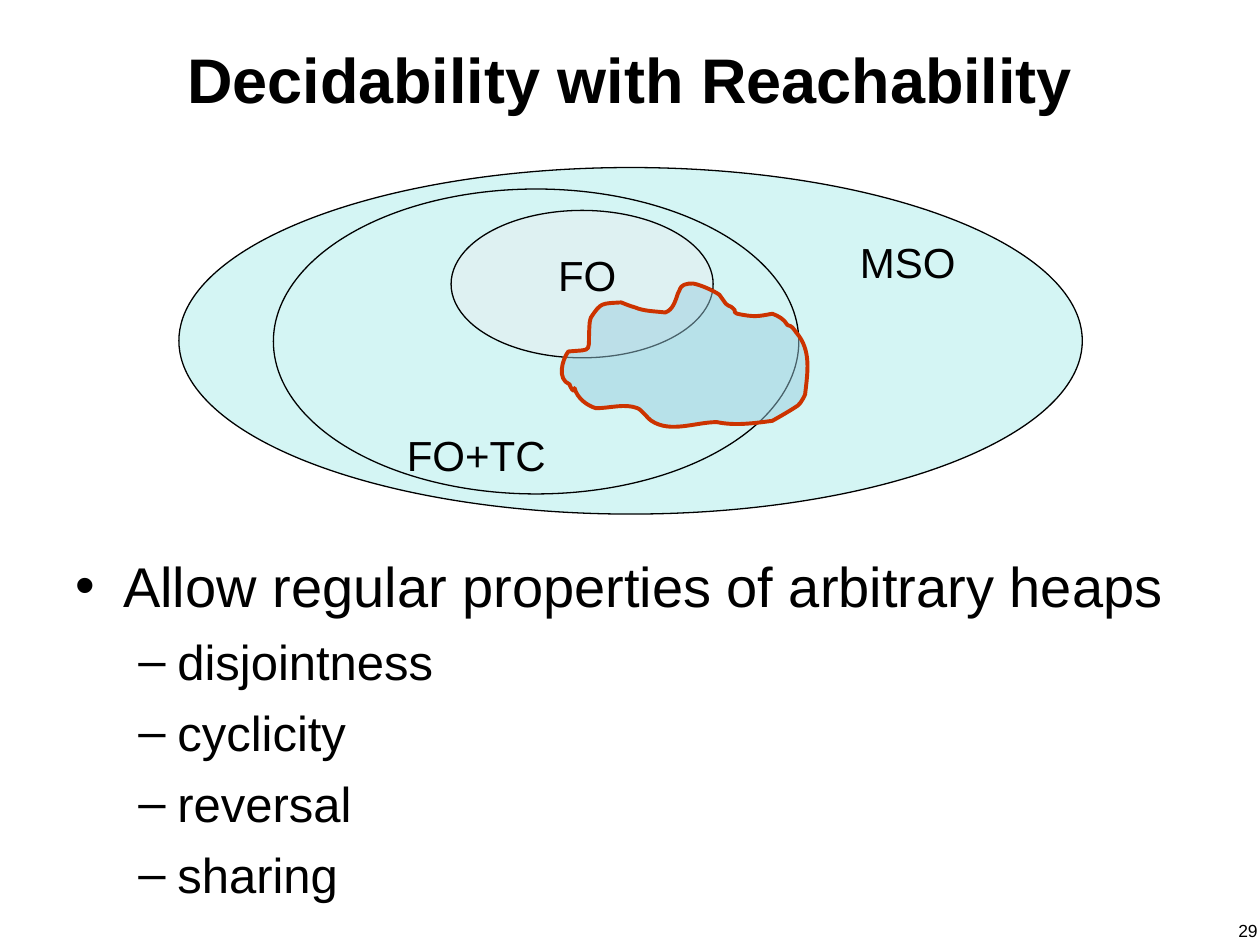
from dataclasses import dataclass

from lxml.etree import SubElement
from pptx import Presentation
from pptx.dml.color import RGBColor
from pptx.enum.shapes import MSO_SHAPE
from pptx.enum.text import MSO_ANCHOR, PP_ALIGN
from pptx.oxml.ns import qn
from pptx.util import Inches, Pt


@dataclass(frozen=True)
class Theme:
    font: str = "Arial"
    ink: str = "000000"
    set_fill: str = "D4F5F4"
    inner_fill: str = "DEF1F2"
    region_fill: str = "99CDDF"
    region_line: str = "CC3300"
    region_opacity: int = 48
    thin: float = 0.75
    thick: float = 2.25
    title_size: int = 36
    body_size: int = 32
    item_size: int = 28
    label_size: int = 24
    number_size: int = 10
    paragraph_gap: int = 7


class SlideBuilder:
    def __init__(self, slide, theme):
        self.slide = slide
        self.theme = theme

    def style_font(self, paragraph, size, bold=False):
        for run in paragraph.runs:
            run.font.name = self.theme.font
            run.font.size = Pt(size)
            run.font.bold = bold
            run.font.color.rgb = RGBColor.from_string(self.theme.ink)

    def style_shape(self, shape, fill, line, width):
        shape.shadow.inherit = False
        shape.fill.solid()
        shape.fill.fore_color.rgb = RGBColor.from_string(fill)
        shape.line.color.rgb = RGBColor.from_string(line)
        shape.line.width = Pt(width)

    def text_box(self, box):
        shape = self.slide.shapes.add_textbox(*map(Inches, box))
        shape.text_frame.word_wrap = True
        return shape.text_frame

    def text(self, text, box, size, align=PP_ALIGN.CENTER, anchor=MSO_ANCHOR.TOP, bold=False):
        text_frame = self.text_box(box)
        text_frame.text = text
        text_frame.vertical_anchor = anchor
        paragraph = text_frame.paragraphs[0]
        paragraph.alignment = align
        self.style_font(paragraph, size, bold)

    def ellipse(self, box, fill):
        shape = self.slide.shapes.add_shape(MSO_SHAPE.OVAL, *map(Inches, box))
        self.style_shape(shape, fill, self.theme.ink, self.theme.thin)

    def curved_region(self, start, curves):
        points = [tuple(map(Inches, point)) for curve in curves for point in curve]
        builder = self.slide.shapes.build_freeform(*map(Inches, start))
        builder.add_line_segments(points, close=True)
        shape = builder.convert_to_shape()
        path = next(shape.element.iter(qn("a:path")))
        segments = path.findall(qn("a:lnTo"))
        for index in range(0, len(segments), 3):
            curve = SubElement(path, qn("a:cubicBezTo"))
            segments[index].addprevious(curve)
            for segment in segments[index:index + 3]:
                curve.append(segment[0])
                path.remove(segment)
        theme = self.theme
        self.style_shape(shape, theme.region_fill, theme.region_line, theme.thick)
        color = shape.element.spPr.find(qn("a:solidFill"))[0]
        SubElement(color, qn("a:alpha"), val=str(theme.region_opacity * 1000))

    def bullets(self, entries, box):
        theme = self.theme
        levels = [
            ("•", theme.body_size, 0.38, 0.38),
            ("–", theme.item_size, 0.81, 0.31),
        ]
        text_frame = self.text_box(box)
        text_frame.text = "\n".join(text for text, level in entries)
        for index, paragraph in enumerate(text_frame.paragraphs):
            level = entries[index][1]
            mark, size, margin, hanging = levels[level]
            paragraph.level = level
            if index:
                paragraph.space_before = Pt(theme.paragraph_gap)
            properties = paragraph._p.get_or_add_pPr()
            properties.set("marL", str(Inches(margin)))
            properties.set("indent", str(-Inches(hanging)))
            color = SubElement(properties, qn("a:buClr"))
            SubElement(color, qn("a:srgbClr"), val=theme.ink)
            SubElement(properties, qn("a:buFont"), typeface=theme.font)
            SubElement(properties, qn("a:buChar"), char=mark)
            self.style_font(paragraph, size)


REGION_START = (4.56, 3.08)
REGION_CURVES = [
    [(4.58, 3.16), (4.66, 3.22), (4.73, 3.24)],
    [(4.84, 3.24), (4.96, 3.2), (5.06, 3.24)],
    [(5.09, 3.25), (5.14, 3.32), (5.17, 3.34)],
    [(5.32, 3.44), (5.52, 3.35), (5.69, 3.35)],
    [(5.83, 3.38), (5.98, 3.36), (6.13, 3.34)],
    [(6.2, 3.3), (6.27, 3.26), (6.33, 3.22)],
    [(6.36, 3.2), (6.39, 3.13), (6.39, 3.13)],
    [(6.41, 2.95), (6.44, 2.78), (6.32, 2.64)],
    [(6.29, 2.6), (6.29, 2.59), (6.25, 2.58)],
    [(6.22, 2.53), (6.18, 2.51), (6.13, 2.49)],
    [(6.02, 2.51), (5.99, 2.52), (5.85, 2.49)],
    [(5.83, 2.49), (5.83, 2.47), (5.83, 2.46)],
    [(5.78, 2.41), (5.81, 2.45), (5.76, 2.41)],
    [(5.74, 2.39), (5.73, 2.36), (5.71, 2.34)],
    [(5.67, 2.31), (5.56, 2.26), (5.5, 2.25)],
    [(5.48, 2.25), (5.45, 2.25), (5.43, 2.26)],
    [(5.39, 2.28), (5.4, 2.3), (5.38, 2.33)],
    [(5.36, 2.39), (5.34, 2.46), (5.28, 2.48)],
    [(5.19, 2.47), (5.11, 2.47), (5.04, 2.44)],
    [(5, 2.43), (4.93, 2.4), (4.93, 2.4)],
    [(4.77, 2.41), (4.77, 2.4), (4.69, 2.52)],
    [(4.69, 2.53), (4.68, 2.54), (4.68, 2.56)],
    [(4.66, 2.81), (4.72, 2.77), (4.51, 2.79)],
    [(4.46, 2.86), (4.42, 3.01), (4.52, 3.05)],
    [(4.52, 3.06), (4.56, 3.14), (4.56, 3.08)],
]


def main():
    theme = Theme()
    presentation = Presentation()
    presentation.slide_width = Inches(10)
    presentation.slide_height = Inches(7.5)
    slide = presentation.slides.add_slide(presentation.slide_layouts[6])
    builder = SlideBuilder(slide, theme)

    logics = [
        ("MSO", (1.42, 1.33, 7.17, 2.75), theme.set_fill, (6.08, 1.83, 2.25, 0.5)),
        ("FO+TC", (2.17, 1.5, 4.17, 2.42), theme.set_fill, (3.01, 3.36, 1.54, 0.5)),
        ("FO", (3.58, 1.67, 2.08, 1.17), theme.inner_fill, (4.1, 1.93, 1.12, 0.5)),
    ]
    for name, ellipse_box, fill, label_box in logics:
        builder.ellipse(ellipse_box, fill)
        builder.text(name, label_box, theme.label_size)
    builder.curved_region(REGION_START, REGION_CURVES)

    builder.text("Decidability with Reachability", (0.5, 0, 9, 1.25), theme.title_size,
                 anchor=MSO_ANCHOR.MIDDLE, bold=True)
    properties = ["disjointness", "cyclicity", "reversal", "sharing"]
    entries = [("Allow regular properties of arbitrary heaps", 0)]
    entries += [(name, 1) for name in properties]
    builder.bullets(entries, (0.5, 4.33, 9.17, 2.92))
    builder.text("29", (9.58, 7.25, 0.5, 0.52), theme.number_size, align=PP_ALIGN.RIGHT)

    presentation.save("out.pptx")


if __name__ == "__main__":
    main()
